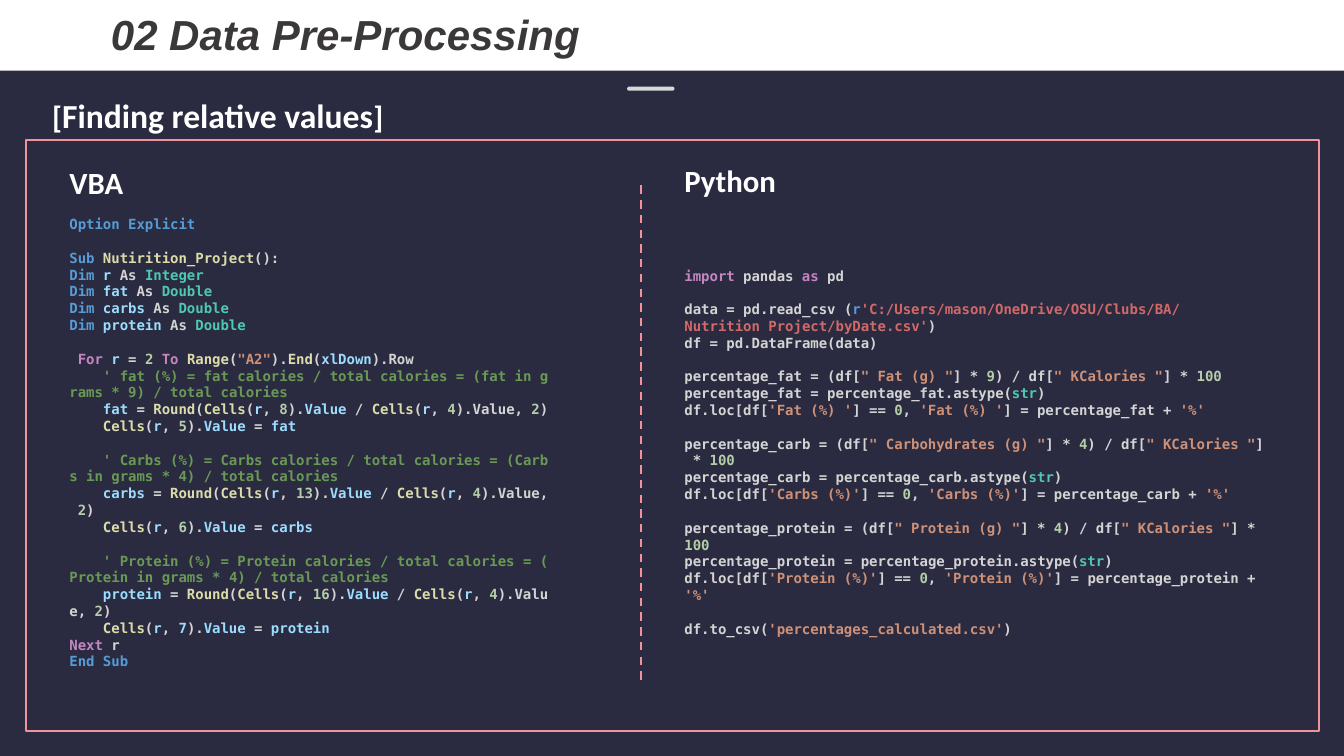
from pptx import Presentation
from pptx.dml.color import RGBColor
from pptx.enum.dml import MSO_LINE
from pptx.enum.shapes import MSO_CONNECTOR as CONN, MSO_SHAPE as SHAPE
from pptx.enum.text import MSO_ANCHOR as ANCHOR, MSO_AUTO_SIZE as AUTO, PP_ALIGN as ALIGN
from pptx.oxml.ns import qn
from pptx.util import Inches, Pt
from lxml import etree

TITLE = "02 Data Pre-Processing"
SUBTITLE = [("[", "heading"), ("Finding relative values", "subtitle"), ("]", "heading")]
HEADINGS = [("VBA", (0.59, 1.58, 0.92, 0.47)), ("Python", (6.69, 1.56, 1.84, 0.47))]

# Code markup: "~" and a letter switch to a colour of THEME["syntax"].
VBA_TYPES = [("r", "Integer"), ("fat", "Double"), ("carbs", "Double"), ("protein", "Double")]
VBA_STEPS = [
    ("fat", "fat", 9, 8, "~n5"),
    ("Carbs", "carbs", 4, 13, "~n6"),
    ("Protein", "protein", 4, 16, "~v7"),
]
VBA_STEP = [
    "    ~m' {label} (%) = {label} calories / total calories"
    " = ({label} in grams * {factor}) / total calories",
    "    ~v{name}~t = ~fRound~t(~fCells~t(~vr~t, ~n{source}~t).~vValue~t / "
    "~fCells~t(~vr~t, ~n4~t).Value, ~n2~t)",
    "    ~fCells~t(~vr~t, {target}~t).~vValue~t =~v {name}",
]
VBA_OPEN = ["~kOption Explicit"]
VBA_SUB = ["~kSub ~fNutirition_Project~t():"]
VBA_FOR = [' ~cFor ~vr~t = ~n2 ~cTo ~fRange~t(~s"A2"~t).~fEnd~t(~vxlDown~t).Row']
VBA_CLOSE = ["~cNext~t r", "~kEnd Sub"]

PY_STEPS = [
    ("fat", " Fat (g) ", 9, "Fat (%) "),
    ("carb", " Carbohydrates (g) ", 4, "Carbs (%)"),
    ("protein", " Protein (g) ", 4, "Protein (%)"),
]
PY_STEP = [
    'percentage_{name} = (df[~s"{grams}"~t] * ~n{factor}~t) / df[~s" KCalories "~t] * ~n100',
    "percentage_{name} = percentage_{name}.astype(~ystr~t)",
    "df.loc[df[~s'{share}'~t] == ~n0~t, ~s'{share}'~t] = percentage_{name} + ~s'%'",
]
PY_IMPORT = ["~cimport~t pandas ~cas~t pd"]
PY_READ = [
    "data = pd.read_csv (~kr~p'C:/Users/mason/OneDrive/OSU/Clubs/BA/"
    "Nutrition Project/byDate.csv'~t)",
    "df = pd.DataFrame(data)",
]
PY_SAVE = ["df.to_csv(~s'percentages_calculated.csv'~t)"]

THEME = {
    "back": "2A2B40", "band": "FFFFFF", "accent": "F3929D", "dash": "D8D8D8",
    "title": {"name": "Arial", "size": Pt(30), "bold": True, "italic": True, "color": "3A3838"},
    "heading": {"name": "Calibri", "size": Pt(22), "bold": True, "color": "FFFFFF"},
    "subtitle": {"name": "Calibri", "size": Pt(24), "bold": True, "color": "FFFFFF"},
    "code": {"name": "DejaVu Sans Mono", "size": Pt(10), "bold": True},
    "block_gap": Pt(12),
    "syntax": {
        "t": "D4D4D4", "k": "569CD6", "c": "C586C0", "v": "9CDCFE", "f": "DCDCAA",
        "y": "4EC9B0", "n": "B5CEA8", "s": "CE9178", "m": "6A9955", "p": "D16969",
    },
}


def vba_blocks():
    dims = [f"~kDim~v {name} ~tAs ~y{kind}" for name, kind in VBA_TYPES]
    keys = ("label", "name", "factor", "source", "target")
    steps = [[line.format(**dict(zip(keys, step))) for line in VBA_STEP] for step in VBA_STEPS]
    steps[0] = VBA_FOR + steps[0]
    steps[-1] = steps[-1] + VBA_CLOSE
    return [VBA_OPEN, VBA_SUB + dims, *steps]


def python_blocks():
    keys = ("name", "grams", "factor", "share")
    steps = [[line.format(**dict(zip(keys, step))) for line in PY_STEP] for step in PY_STEPS]
    return [PY_IMPORT, PY_READ, *steps, PY_SAVE]


def rgb(value):
    return RGBColor.from_string(value)


def add_run(p, text, style):
    r = p.add_run()
    r.text = text
    for key, value in style.items():
        if key == "color":
            r.font.color.rgb = rgb(value)
        else:
            setattr(r.font, key, value)


def add_text(s, box):
    tf = s.shapes.add_textbox(*map(Inches, box)).text_frame
    tf.word_wrap = True
    return tf


def add_code(s, box, blocks):
    tf = add_text(s, box)
    p = tf.paragraphs[0]
    for b, block in enumerate(blocks):
        for i, line in enumerate(block):
            if b or i:
                p = tf.add_paragraph()
            if b and not i:
                p.space_before = THEME["block_gap"]
            for part in ("~t" + line).split("~")[1:]:
                if part[1:]:
                    style = THEME["code"] | {"color": THEME["syntax"][part[0]]}
                    add_run(p, part[1:].replace(" ", "\N{NO-BREAK SPACE}"), style)


def add_title(s):
    sp = s.shapes.title
    sp.left, sp.top, sp.width, sp.height = map(Inches, (0, -0.03, 13.33, 0.73))
    sp.fill.solid()
    sp.fill.fore_color.rgb = rgb(THEME["band"])
    tf = sp.text_frame
    frame = {"vertical_anchor": ANCHOR.MIDDLE, "auto_size": AUTO.NONE,
             "word_wrap": True, "margin_left": Inches(1.1)}
    for key, value in frame.items():
        setattr(tf, key, value)
    p = tf.paragraphs[0]
    p.alignment = ALIGN.LEFT
    add_run(p, TITLE, THEME["title"])


def add_box(s, kind, box, fill=None, line=None):
    sp = s.shapes.add_shape(kind, *map(Inches, box))
    sp.shadow.inherit = False
    if fill:
        sp.fill.solid()
        sp.fill.fore_color.rgb = rgb(fill)
    else:
        sp.fill.background()
    if line:
        sp.line.color.rgb = rgb(line)
        sp.line.width = Pt(1.5)
    else:
        sp.line.fill.background()
    return sp


def add_divider(s, x, top, bottom):
    ln = s.shapes.add_connector(CONN.STRAIGHT, *map(Inches, (x, top, x, bottom)))
    ln.line.color.rgb = rgb(THEME["accent"])
    ln.line.width = Pt(1.5)
    ln.line.dash_style = MSO_LINE.DASH
    etree.SubElement(ln._element.spPr, qn("a:effectLst"))


def main():
    prs = Presentation()
    prs.slide_width, prs.slide_height = Inches(13.33), Inches(7.5)
    s = prs.slides.add_slide(prs.slide_layouts[5])
    s.background.fill.solid()
    s.background.fill.fore_color.rgb = rgb(THEME["back"])

    add_title(s)
    pill = add_box(s, SHAPE.ROUNDED_RECTANGLE, (6.22, 0.86, 0.47, 0.04), fill=THEME["dash"])
    pill.adjustments[0] = 0.5
    p = add_text(s, (0.42, 0.89, 7.27, 0.5)).paragraphs[0]
    for text, style in SUBTITLE:
        add_run(p, text, THEME[style])

    add_code(s, (0.59, 2.09, 4.97, 4.31), vba_blocks())
    add_divider(s, 6.36, 1.84, 6.8)
    for text, box in HEADINGS:
        add_run(add_text(s, box).paragraphs[0], text, THEME["heading"])
    add_code(s, (6.69, 2.6, 5.97, 3.3), python_blocks())
    add_box(s, SHAPE.RECTANGLE, (0.26, 1.39, 12.82, 5.86), line=THEME["accent"])

    prs.save("out.pptx")


if __name__ == "__main__":
    main()
